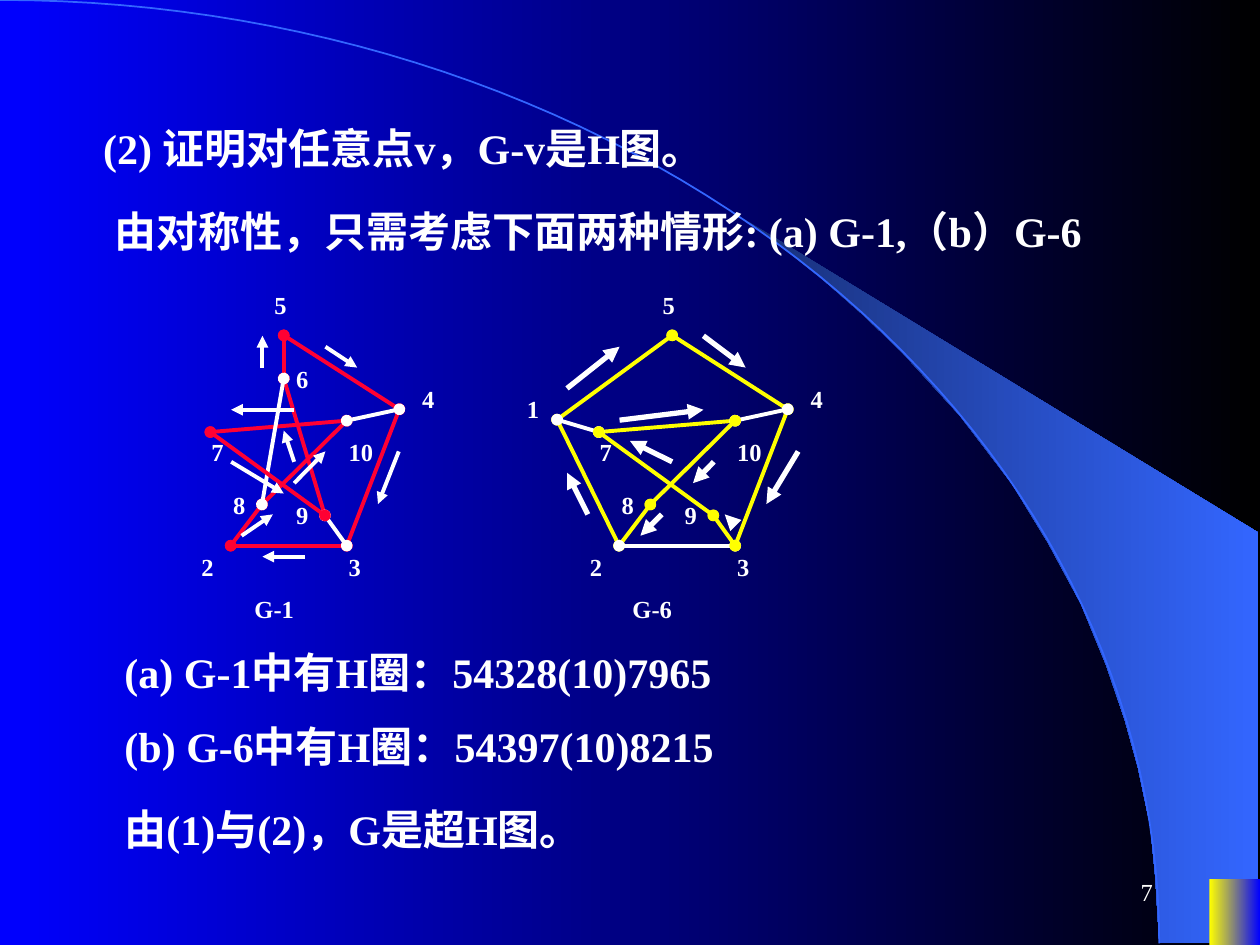
from math import cos, pi, sin

from lxml.etree import SubElement
from pptx import Presentation
from pptx.dml.color import RGBColor
from pptx.enum.shapes import MSO_CONNECTOR, MSO_SHAPE
from pptx.enum.text import MSO_ANCHOR, PP_ALIGN
from pptx.oxml.ns import qn
from pptx.util import Cm, Pt

WHITE, RED, YELLOW = "FFFFFF", "FF0033", "FFFF00"
BLUE, BLACK, NAVY, SKY = "0000FF", "000000", "182F76", "3366FF"


def rgb(value):
    return RGBColor.from_string(value)


def set_gradient(fill, start, end):
    """Fill from left to right between two colours."""
    fill.gradient()
    fill.gradient_angle = 0
    for stop, (position, color) in zip(fill.gradient_stops, ((0, start), (1, end))):
        stop.position = position
        stop.color.rgb = rgb(color)


class SlideBuilder:
    font = "Times New Roman"

    def __init__(self, slide):
        self.s = slide

    def text(self, words, left, top, width, height, size=14, bold=True,
             indent=0.25, before=0, align=PP_ALIGN.LEFT, anchor=MSO_ANCHOR.TOP):
        sp = self.s.shapes.add_textbox(Cm(left), Cm(top), Cm(width), Cm(height))
        tf = sp.text_frame
        tf.word_wrap = True
        tf.margin_left = Cm(indent)
        tf.vertical_anchor = anchor
        tf.text = words
        p = tf.paragraphs[0]
        p.alignment = align
        p.space_before = Pt(before)
        f = p.runs[0].font
        f.name, f.size, f.bold = self.font, Pt(size), bold
        f.color.rgb = rgb(WHITE)

    def line(self, x1, y1, x2, y2, color=WHITE, width=2.25, head=None, tail=None):
        c = self.s.shapes.add_connector(
            MSO_CONNECTOR.STRAIGHT, Cm(x1), Cm(y1), Cm(x2), Cm(y2))
        c.line.color.rgb = rgb(color)
        c.line.width = Pt(width)
        ln = c.get_or_add_ln()
        for tag, kind in (("a:headEnd", head), ("a:tailEnd", tail)):
            if kind:
                SubElement(ln, qn(tag), type=kind)
        SubElement(c._element.spPr, qn("a:effectLst"))

    def outline(self, points, close):
        points = [(Cm(x), Cm(y)) for x, y in points]
        builder = self.s.shapes.build_freeform(*points[0])
        builder.add_line_segments(points[1:], close=close)
        sp = builder.convert_to_shape()
        sp.shadow.inherit = False
        return sp

    def wedge(self, points):
        sp = self.outline(points, close=True)
        set_gradient(sp.fill, NAVY, SKY)
        sp.line.fill.background()

    def quarter_ellipse(self, width, height, steps=60):
        angles = [pi / 2 * i / steps for i in range(steps + 1)]
        sp = self.outline([(width * sin(a), height * (1 - cos(a))) for a in angles],
                          close=False)
        sp.fill.background()
        sp.line.color.rgb = rgb(SKY)
        sp.line.width = Pt(1)

    def gradient_box(self, left, top, width, height):
        sp = self.s.shapes.add_shape(
            MSO_SHAPE.RECTANGLE, Cm(left), Cm(top), Cm(width), Cm(height))
        sp.shadow.inherit = False
        set_gradient(sp.fill, YELLOW, BLUE)
        sp.line.fill.background()

    def graph(self, dx, edges, labels, arrows, arrow_width):
        """Draw edges with dots at both ends, vertex labels and direction arrows."""
        for color, pairs in edges:
            for pair in pairs.split():
                (x1, y1), (x2, y2) = (VERTICES[v] for v in pair.split("-"))
                self.line(x1 + dx, y1, x2 + dx, y2, color, head="oval", tail="oval")
        for name in labels:
            x, y = LABELS[name]
            self.text(name, x + dx, y, 0.89 if len(name) == 1 else 1.27, 0.86)
        for arrow in arrows:
            self.line(*arrow, width=arrow_width, tail="triangle")


WEDGE = [
    (23.37, 19.0), (25.37, 19.02), (25.37, 10.74), (14.96, 4.39), (15.85, 5.05),
    (16.59, 5.64), (17.4, 6.35), (18.19, 7.11), (19.35, 8.38), (20.4, 9.75),
    (21.13, 10.95), (21.79, 12.17), (22.3, 13.41), (22.68, 14.53), (22.94, 15.47),
    (23.19, 16.66), (23.29, 17.68),
]
VERTICES = {
    "1": (3.4, 8.46), "2": (4.65, 11), "3": (6.99, 11), "4": (8.05, 8.25),
    "5": (5.72, 6.76), "6": (5.72, 7.63), "7": (4.24, 8.71), "8": (5.28, 10.17),
    "9": (6.55, 10.39), "10": (6.99, 8.48),
}
LABELS = {
    "1": (2.54, 7.82), "2": (3.81, 11), "3": (6.78, 11), "4": (8.26, 7.62),
    "5": (5.28, 5.72), "6": (5.72, 7.21), "7": (4.01, 8.69), "8": (4.45, 9.75),
    "9": (5.72, 9.96), "10": (6.78, 8.69),
}
EDGES_G1 = [
    (RED, "6-9 10-8 8-2 7-10 5-4 4-3 2-3 5-6"),
    (WHITE, "10-4 9-3 6-8"),
    (RED, "7-9"),
]
EDGES_G6 = [
    (YELLOW, "8-2 7-10 5-1 5-4 1-2 4-3"),
    (WHITE, "2-3 1-7 10-4"),
    (YELLOW, "9-3 7-9 10-8"),
]
ARROWS_G1 = [
    (6.56, 6.99, 7.2, 7.41), (8.04, 9.1, 7.62, 10.16), (6.14, 11.22, 5.29, 11.22),
    (4.87, 10.8, 5.5, 10.37), (5.93, 9.74, 6.56, 9.1), (5.93, 8.26, 4.66, 8.26),
    (4.66, 9.31, 5.72, 9.95), (5.93, 9.31, 5.72, 8.68), (5.29, 7.41, 5.29, 6.77),
]
ARROWS_G6 = [
    (14.18, 6.77, 15.03, 7.41), (16.09, 9.1, 15.45, 10.16),
    (14.82, 10.58, 14.61, 10.37), (13.55, 9.31, 12.7, 8.89),
    (12.49, 8.47, 14.18, 8.26), (14.39, 9.31, 13.97, 9.74),
    (13.34, 10.37, 12.91, 10.8), (11.85, 10.37, 11.43, 9.53),
    (11.43, 7.83, 12.49, 6.99),
]
STATEMENTS = [
    ("(2) 证明对任意点v，G-v是H图。", 0.84, 2.34),
    ("由对称性，只需考虑下面两种情形: (a) G-1,（b）G-6", 1.07, 4.01),
    ("(a) G-1中有H圈：54328(10)7965", 1.27, 12.9),
    ("(b) G-6中有H圈：54397(10)8215", 1.27, 14.4),
    ("由(1)与(2)，G是超H图。", 1.27, 16.08),
]


def main():
    prs = Presentation()
    prs.slide_width, prs.slide_height = Cm(25.4), Cm(19.05)
    s = prs.slides.add_slide(prs.slide_layouts[6])
    set_gradient(s.background.fill, BLUE, BLACK)

    b = SlideBuilder(s)
    b.wedge(WEDGE)
    b.quarter_ellipse(23.37, 19.02)
    b.gradient_box(24.38, 17.73, 1.02, 1.32)
    b.text("7", 18.21, 17.35, 5.28, 1.27, bold=False,
           align=PP_ALIGN.RIGHT, anchor=MSO_ANCHOR.MIDDLE)

    for words, left, top in STATEMENTS:
        b.text(words, left, top, 22.43, 1.45, size=24, indent=1.24, before=15)

    b.graph(0, EDGES_G1, [v for v in LABELS if v != "1"], ARROWS_G1, 2.25)
    b.graph(7.83, EDGES_G6, [v for v in LABELS if v != "6"], ARROWS_G6, 3)
    for caption, left in (("G-1", 4.88), ("G-6", 12.5)):
        b.text(caption, left, 11.86, 3.18, 0.86)

    prs.save("out.pptx")


if __name__ == "__main__":
    main()
